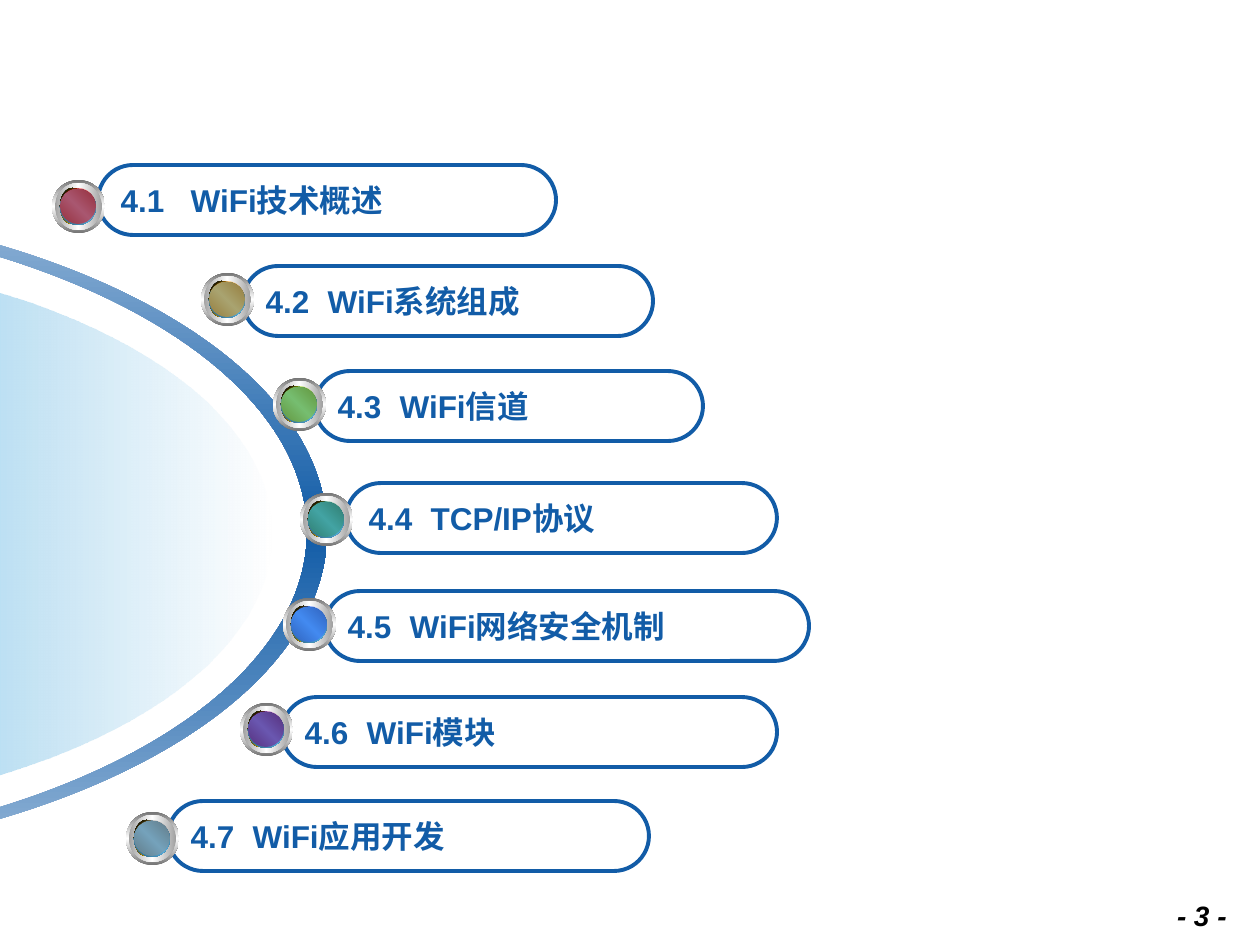
from lxml.etree import SubElement
from pptx import Presentation
from pptx.dml.color import RGBColor
from pptx.enum.shapes import MSO_SHAPE
from pptx.enum.text import MSO_ANCHOR, PP_ALIGN
from pptx.oxml.ns import qn
from pptx.util import Emu, Pt

PX = 914400 / 126
BLUE = "125CA7"


def paint(shape, stops, angle=0):
    """Fill without outline; stops are (position, hex colour, opacity), all in
    percent, and a single stop gives a solid fill. The angle runs clockwise."""
    shape.shadow.inherit = False
    shape.line.fill.background()
    if len(stops) == 1:
        shape.fill.solid()
        parents = [shape.fill._xPr.find(qn("a:solidFill"))]
        parents[0].clear()
    else:
        shape.fill.gradient()
        shape.fill.gradient_angle = (360 - angle) % 360
        stop_list = shape.fill._xPr.find(".//" + qn("a:gsLst"))
        stop_list.clear()
        parents = [SubElement(stop_list, qn("a:gs"), pos=str(position * 1000))
                   for position, _, _ in stops]
    for parent, (_, color, opacity) in zip(parents, stops):
        element = SubElement(parent, qn("a:srgbClr"), val=color)
        if opacity < 100:
            SubElement(element, qn("a:alpha"), val=str(opacity * 1000))


def half_ellipse(left, middle, radius_x, radius_y):
    """Bezier points of the right half of an ellipse, from top to bottom, in EMU."""
    fractions = [(0, -1), (0.55, -1), (1, -0.55), (1, 0), (1, 0.55), (0.55, 1), (0, 1)]
    return [((left + radius_x * x) * PX, (middle + radius_y * y) * PX)
            for x, y in fractions]


presentation = Presentation()
presentation.slide_width = Emu(round(1260 * PX))
presentation.slide_height = Emu(round(945 * PX))
slide = presentation.slides.add_slide(presentation.slide_layouts[6])

# Page number
number_box = slide.shapes.add_textbox(*(Emu(round(v * PX)) for v in (1144, 892, 95, 44)))
number_box.text_frame.word_wrap = True
paragraph = number_box.text_frame.paragraphs[0]
paragraph.text = "- 3 -"
paragraph.alignment = PP_ALIGN.RIGHT
paragraph.font.name = "Arial"
paragraph.font.size = Pt(16)
paragraph.font.bold = paragraph.font.italic = True
paragraph.font.color.rgb = RGBColor.from_string("000000")

# Two translucent domes and the ring around them; C is a curve, L a straight line
dome = half_ellipse(-271, 534, 542, 278)
ring = half_ellipse(-330, 532, 657, 332) + half_ellipse(-330, 532, 637, 322)[::-1]
dome_stops = [(0, "54B0E2", 56), (100, "FFFFFF", 48)]
ring_stops = [(0, "93B5D7", 100), (50, BLUE, 100), (100, "93B5D7", 100)]
for points, segments, stops, angle in [(dome, "CC", dome_stops, 0),
                                       (dome, "CC", dome_stops, 0),
                                       (ring, "CCLCC", ring_stops, 90)]:
    builder = slide.shapes.build_freeform(*points[0], scale=1.0)
    builder.add_line_segments(points[1:], close=True)
    shape = builder.convert_to_shape()
    lines = iter(shape._element.findall(".//" + qn("a:lnTo")))
    for segment in segments:
        line = next(lines)
        if segment == "C":
            curve = line.makeelement(qn("a:cubicBezTo"))
            line.addprevious(curve)
            for part in (line, next(lines), next(lines)):
                curve.append(part[0])
                part.getparent().remove(part)
    paint(shape, stops, angle)

# Sections: number, title, tab offset, pill (left, top, width), button (left, top), tint
sections = [
    ("4.1", "WiFi技术概述", 70, (98, 165, 458), (52, 180), "FF0000"),
    ("4.2", "WiFi系统组成", 62, (243, 266, 410), (201, 273), "FF9900"),
    ("4.3", "WiFi信道", 62, (315, 371, 388), (273, 378), "99CC00"),
    ("4.4", "TCP/IP协议", 62, (346, 483, 431), (300, 493), "339966"),
    ("4.5", "WiFi网络安全机制", 62, (325, 591, 484), (283, 598), "3366FF"),
    ("4.6", "WiFi模块", 62, (282, 697, 495), (240, 703), "800080"),
    ("4.7", "WiFi应用开发", 62, (168, 801, 481), (126, 812), "969696"),
]
# Button layers: offset x, offset y, width, height, stops, angle
rim = (0, 0, 53, 53, [(0, "767676", 100), (50, "FFFFFF", 100), (100, "767676", 100)], 90)
button_layers = [
    rim, rim,
    (3, 3, 47, 47, [(0, "A2A2A2", 100), (50, "FFFFFF", 100), (100, "A2A2A2", 100)], 0),
    (8, 8, 25, 36, [(0, "FFFFFF", 100), (50, "54B0E2", 100), (100, "FFFFFF", 100)], 45),
    (8, 8, 25, 36, [(0, "000000", 100), (100, "FFCC00", 100)], 45),
    (8, 9, 36, 36, [(0, "2D5F7A", 100), (50, "54B0E2", 100), (100, "2D5F7A", 100)], 315),
]
for number, title, offset, (left, top, width), button, tint in sections:
    pill = slide.shapes.add_shape(MSO_SHAPE.ROUNDED_RECTANGLE,
                                  *(Emu(round(v * PX)) for v in (left, top, width, 70)))
    pill.adjustments[0] = 0.5
    pill.shadow.inherit = False
    pill.fill.background()
    pill.line.color.rgb = RGBColor.from_string(BLUE)
    pill.line.width = Pt(2.25)
    pill.text_frame.word_wrap = True
    pill.text_frame.vertical_anchor = MSO_ANCHOR.MIDDLE
    paragraph = pill.text_frame.paragraphs[0]
    paragraph.text = f"{number}\t{title}"
    paragraph.alignment = PP_ALIGN.LEFT
    tabs = SubElement(paragraph._p.get_or_add_pPr(), qn("a:tabLst"))
    SubElement(tabs, qn("a:tab"), pos=str(round(offset * PX)), algn="l")
    paragraph.font.name = "Arial"
    paragraph.font.size = Pt(18)
    paragraph.font.bold = True
    paragraph.font.color.rgb = RGBColor.from_string(BLUE)

    group = slide.shapes.add_group_shape()
    for x, y, w, h, stops, angle in button_layers + [(8, 8, 36, 36, [(0, tint, 50)], 0)]:
        box = (button[0] + x, button[1] + y, w, h)
        disc = group.shapes.add_shape(MSO_SHAPE.OVAL, *(Emu(round(v * PX)) for v in box))
        paint(disc, stops, angle)

presentation.save("out.pptx")
